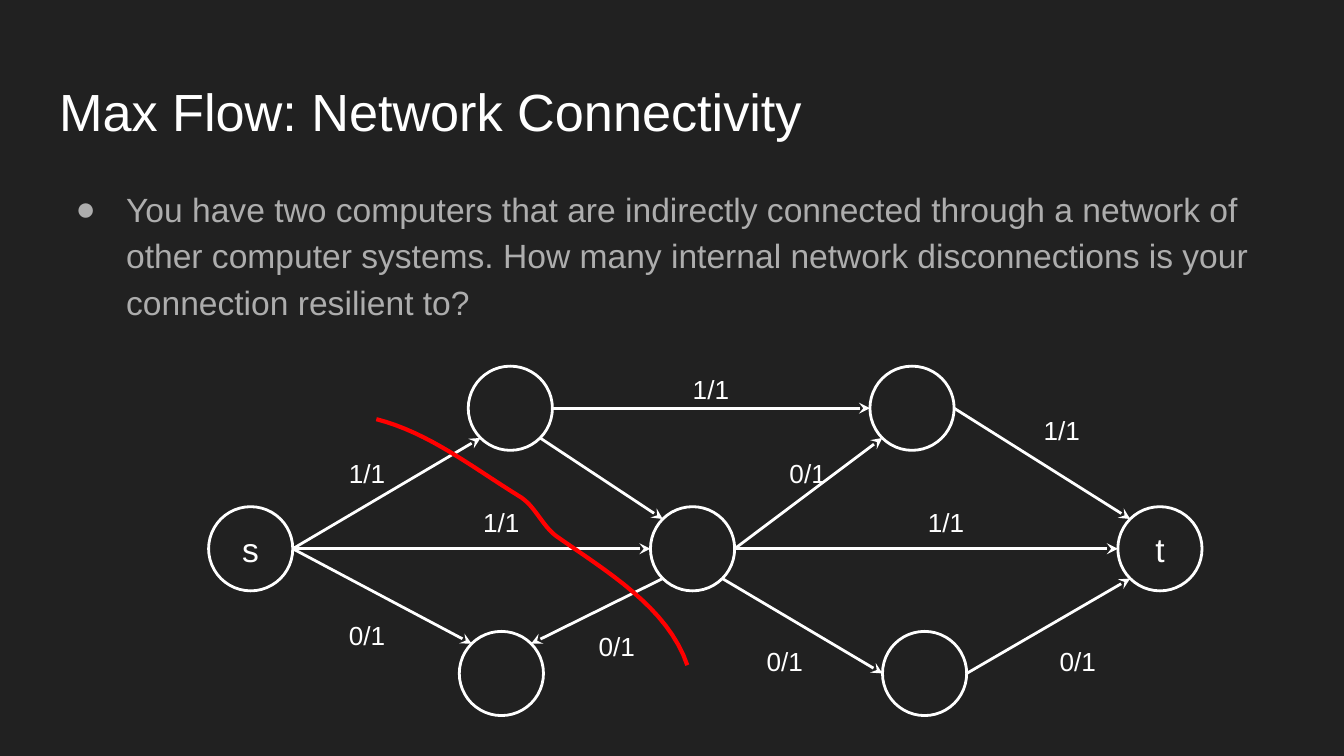
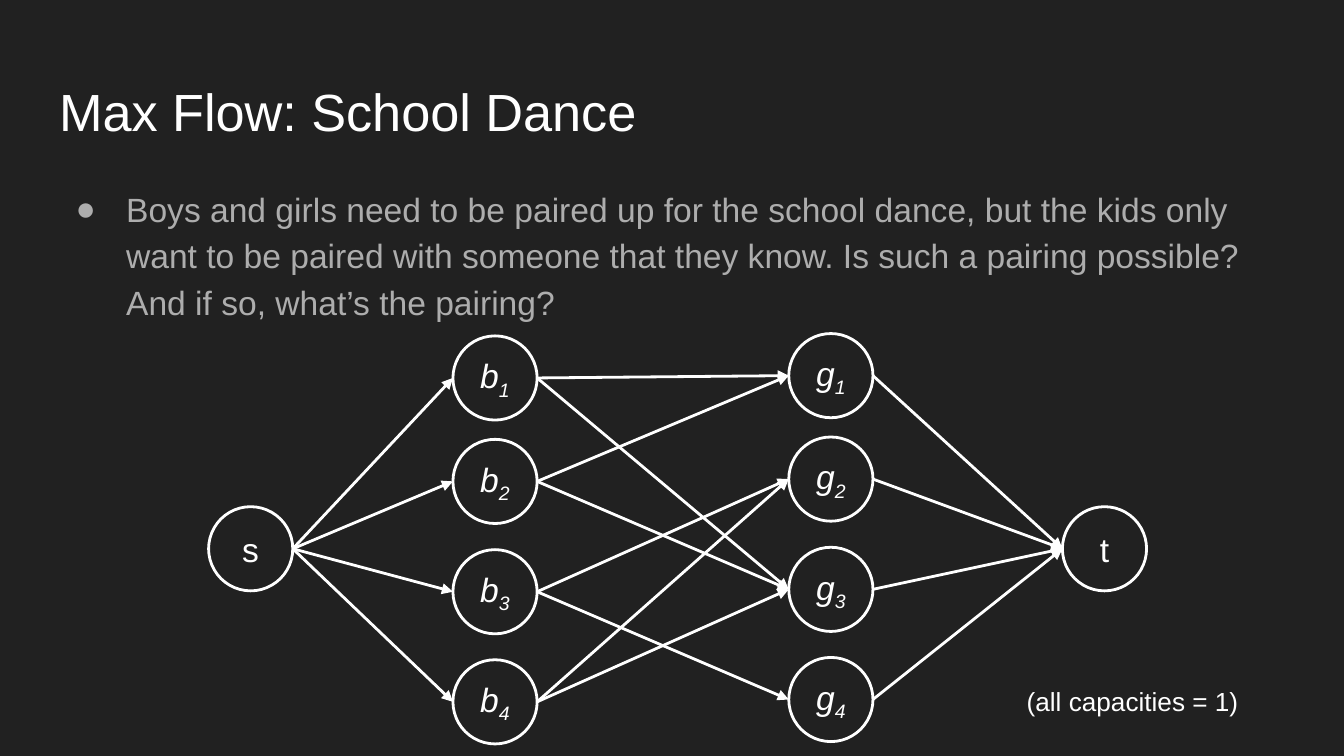
"""Build two dark slides on maximum flow, each with a node-and-arrow network."""
from itertools import pairwise
from math import sqrt

from lxml import etree
from pptx import Presentation
from pptx.dml.color import RGBColor
from pptx.enum.shapes import MSO_CONNECTOR, MSO_SHAPE
from pptx.enum.text import MSO_ANCHOR, MSO_AUTO_SIZE, PP_ALIGN
from pptx.oxml.ns import qn
from pptx.util import Pt

ELLIPSE = MSO_SHAPE.OVAL
STRAIGHT = MSO_CONNECTOR.STRAIGHT
TOP, MIDDLE = MSO_ANCHOR.TOP, MSO_ANCHOR.MIDDLE
LEFT, CENTER = PP_ALIGN.LEFT, PP_ALIGN.CENTER
NO_AUTOFIT = MSO_AUTO_SIZE.NONE

COLORS = {"background": "212121", "ink": "FFFFFF", "body": "ADADAD", "cut": "FF0000"}
FONT = "Arial"
TITLE_SIZE, TEXT_SIZE, LABEL_SIZE = 28, 18, 14
TITLE_BOX = (24.5, 35, 671, 45)
BODY_LEFT, BODY_TOP, BODY_WIDTH = 24.5, 90.7, 671
LABEL_WIDTH, LABEL_HEIGHT = 36, 22.3
DIAMETER = 45.1
INSET = 7.2
DIAGONAL = sqrt(0.5)
SIDES = {
    "right": (1, 0),
    "left": (-1, 0),
    "top left": (-DIAGONAL, -DIAGONAL),
    "bottom left": (-DIAGONAL, DIAGONAL),
    "top right": (DIAGONAL, -DIAGONAL),
    "bottom right": (DIAGONAL, DIAGONAL),
}

CONNECTIVITY = {
    "title": "Max Flow: Network Connectivity",
    "body": "You have two computers that are indirectly connected through a network of "
            "other computer systems. How many internal network disconnections is your "
            "connection resilient to?",
    "body_height": 91.4,
}
CONNECTIVITY_NODES = {
    "s": (134.3, 294, "s"),
    "upper left": (273.4, 218.7, ""),
    "lower left": (268.6, 360.8, ""),
    "middle": (371, 294, ""),
    "upper right": (488.6, 218.7, ""),
    "lower right": (495.3, 360.8, ""),
    "t": (621.4, 294, "t"),
}
CONNECTIVITY_EDGES = [
    ("s", "right", "upper left", "bottom left"),
    ("s", "right", "middle", "left"),
    ("upper left", "bottom right", "middle", "top left"),
    ("upper left", "right", "upper right", "left"),
    ("middle", "bottom left", "lower left", "top right"),
    ("middle", "bottom right", "lower right", "left"),
    ("middle", "right", "upper right", "bottom left"),
    ("lower right", "right", "t", "bottom left"),
    ("upper right", "right", "t", "top left"),
    ("middle", "right", "t", "left"),
    ("s", "right", "lower left", "top left"),
]
FLOW_LABELS = [
    (178.6, 237.6, "1/1"), (250.6, 264.2, "1/1"), (178.6, 324.7, "0/1"),
    (312.5, 330.5, "0/1"), (362.9, 193, "1/1"), (550.8, 214.6, "1/1"),
    (414.7, 237.6, "0/1"), (488.9, 264.2, "1/1"), (402.5, 338.4, "0/1"),
    (559.4, 338.4, "0/1"),
]
CUT_START = (201.6, 224.6)
CUT_CURVES = [
    ((229.7, 231.8), (253.4, 250.6), (277.9, 265.7)),
    ((286.6, 270.7), (290.2, 281.5), (298.1, 287.3)),
    ((324.7, 306), (357.8, 325.4), (368.2, 356.4)),
]
CURVE_STEPS = 16

DANCE = {
    "title": "Max Flow: School Dance",
    "body": "Boys and girls need to be paired up for the school dance, but the kids only "
            "want to be paired with someone that they know. Is such a pairing possible? "
            "And if so, what’s the pairing?",
    "body_height": 78.5,
}
DANCE_ROWS = [202.5, 257.9, 317, 376]
DANCE_COLUMNS = {"b": (265.2, 0), "g": (445.1, -1.25)}
DANCE_ENDS = {"s": (134.3, 294, "s"), "t": (591.7, 294, "t")}
ACQUAINTANCES = ["11", "13", "21", "23", "34", "42", "43", "32"]
CAPACITY_NOTE = (542.9, 360, 142.6, 32.4, "(all capacities = 1)")


def color(name):
    return RGBColor.from_string(COLORS[name])


def apply(target, values):
    for name, value in values.items():
        setattr(target, name, value)


def write_text(shape, text, size, ink="ink", align=LEFT, anchor=TOP, subscript=""):
    frame = shape.text_frame
    apply(frame, {"word_wrap": True, "auto_size": NO_AUTOFIT, "vertical_anchor": anchor})
    apply(frame, {f"margin_{side}": Pt(INSET) for side in ("left", "right", "top", "bottom")})
    paragraph = frame.paragraphs[0]
    paragraph.alignment = align
    for part in filter(None, (text, subscript)):
        run = paragraph.add_run()
        run.text = part
        apply(run.font, {"name": FONT, "size": Pt(size), "italic": bool(subscript)})
        run.font.color.rgb = color(ink)
    if subscript:
        run.font._element.set("baseline", "-25000")
    return paragraph


def add_text(shapes, box, text, size, **options):
    return write_text(shapes.add_textbox(*map(Pt, box)), text, size, **options)


def add_bullet(paragraph):
    paragraph.line_spacing = 1.15
    properties = paragraph._p.get_or_add_pPr()
    properties.set("marL", str(Pt(36)))
    properties.set("indent", str(Pt(-27)))
    bullet_color = etree.SubElement(properties, qn("a:buClr"))
    etree.SubElement(bullet_color, qn("a:srgbClr"), val=COLORS["body"])
    etree.SubElement(properties, qn("a:buFont"), typeface=FONT)
    etree.SubElement(properties, qn("a:buChar"), char="●")


def set_line(shape, ink="ink", width=1.5):
    shape.line.color.rgb = color(ink)
    shape.line.width = Pt(width)


def add_slide(presentation, content):
    slide = presentation.slides.add_slide(presentation.slide_layouts[5])
    title = slide.shapes.title
    apply(title, dict(zip(("left", "top", "width", "height"), map(Pt, TITLE_BOX))))
    write_text(title, content["title"], TITLE_SIZE)
    body_box = (BODY_LEFT, BODY_TOP, BODY_WIDTH, content["body_height"])
    add_bullet(add_text(slide.shapes, body_box, content["body"], TEXT_SIZE, ink="body"))
    return slide


def add_node(shapes, x, y, text, subscript=""):
    corner = (x - DIAMETER / 2, y - DIAMETER / 2)
    node = shapes.add_shape(ELLIPSE, *map(Pt, (*corner, DIAMETER, DIAMETER)))
    node.shadow.inherit = False
    node.fill.background()
    set_line(node)
    if text:
        write_text(node, text, TEXT_SIZE, align=CENTER, anchor=MIDDLE, subscript=subscript)


def side_point(node, side):
    return [Pt(center + offset * DIAMETER / 2) for center, offset in zip(node, SIDES[side])]


def add_network(shapes, nodes, edges, head):
    for node in nodes.values():
        add_node(shapes, *node)
    for source, source_side, target, target_side in edges:
        start = side_point(nodes[source], source_side)
        end = side_point(nodes[target], target_side)
        edge = shapes.add_connector(STRAIGHT, *start, *end)
        set_line(edge)
        etree.SubElement(edge.line._get_or_add_ln(), qn("a:tailEnd"), type=head)
        etree.SubElement(edge._element.spPr, qn("a:effectLst"))


def curve_points(start, curves):
    ends = [start] + [curve[-1] for curve in curves]
    for (begin, end), (first, second, _) in zip(pairwise(ends), curves):
        for step in range(1, CURVE_STEPS + 1):
            t = step / CURVE_STEPS
            u = 1 - t
            weights = (u**3, 3 * u * u * t, 3 * u * t * t, t**3)
            yield tuple(
                Pt(sum(weight * value for weight, value in zip(weights, axis)))
                for axis in zip(begin, first, second, end)
            )


def add_cut(shapes):
    builder = shapes.build_freeform(*map(Pt, CUT_START))
    builder.add_line_segments(curve_points(CUT_START, CUT_CURVES), close=False)
    cut = builder.convert_to_shape()
    cut.shadow.inherit = False
    cut.fill.background()
    set_line(cut, "cut", 2.25)


def build_connectivity(presentation):
    shapes = add_slide(presentation, CONNECTIVITY).shapes
    add_network(shapes, CONNECTIVITY_NODES, CONNECTIVITY_EDGES, "stealth")
    for left, top, text in FLOW_LABELS:
        box = (left, top, LABEL_WIDTH, LABEL_HEIGHT)
        add_text(shapes, box, text, LABEL_SIZE, align=CENTER)
    add_cut(shapes)


def build_dance(presentation):
    shapes = add_slide(presentation, DANCE).shapes.add_group_shape().shapes
    nodes = dict(DANCE_ENDS)
    for letter, (x, shift) in DANCE_COLUMNS.items():
        for number, y in enumerate(DANCE_ROWS, 1):
            nodes[f"{letter}{number}"] = (x, y + shift, letter, str(number))
    numbers = range(1, len(DANCE_ROWS) + 1)
    pairs = [("s", f"b{number}") for number in numbers]
    pairs += [(f"b{boy}", f"g{girl}") for boy, girl in ACQUAINTANCES]
    pairs += [(f"g{number}", "t") for number in numbers]
    edges = [(source, "right", target, "left") for source, target in pairs]
    add_network(shapes, nodes, edges, "triangle")
    *box, text = CAPACITY_NOTE
    add_text(shapes, box, text, LABEL_SIZE)


def main():
    presentation = Presentation()
    apply(presentation, {"slide_width": Pt(720), "slide_height": Pt(405)})
    background = presentation.slide_master.background.fill
    background.solid()
    background.fore_color.rgb = color("background")
    build_connectivity(presentation)
    build_dance(presentation)
    presentation.save("out.pptx")


if __name__ == "__main__":
    main()
